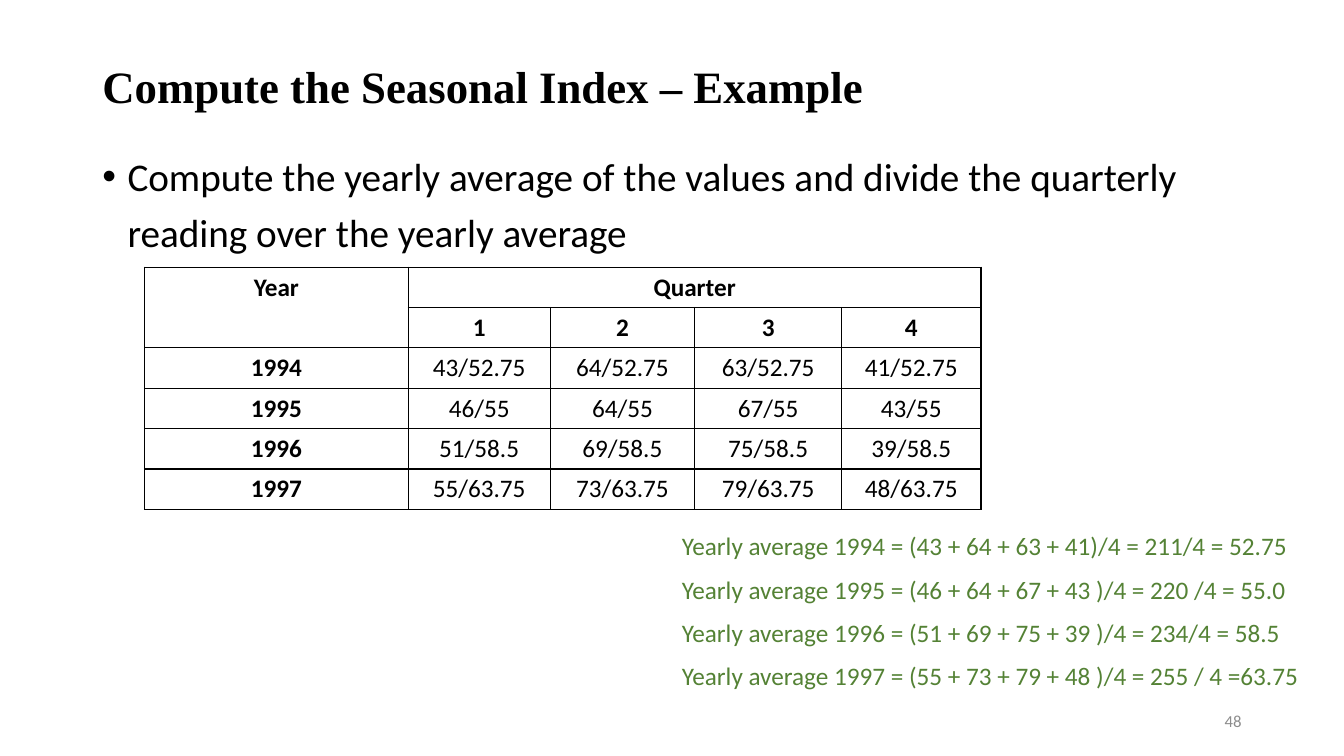
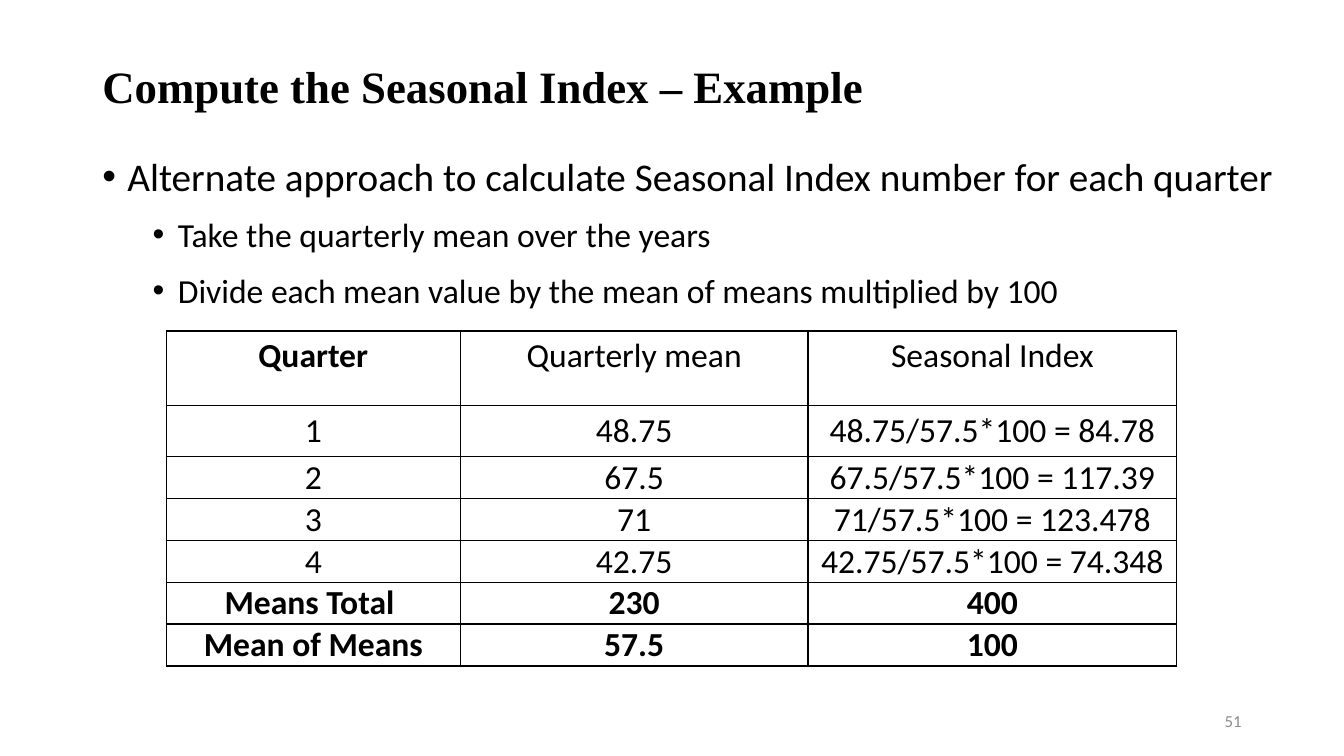
from dataclasses import dataclass
from typing import NamedTuple

from lxml import etree
from pptx import Presentation
from pptx.dml.color import RGBColor
from pptx.enum.text import MSO_ANCHOR, PP_ALIGN
from pptx.oxml.ns import qn
from pptx.slide import Slide
from pptx.table import _Cell
from pptx.text.text import TextFrame, _Paragraph
from pptx.util import Emu, Inches, Pt

LEFT, CENTER, RIGHT = PP_ALIGN.LEFT, PP_ALIGN.CENTER, PP_ALIGN.RIGHT
TOP, MIDDLE, BOTTOM = MSO_ANCHOR.TOP, MSO_ANCHOR.MIDDLE, MSO_ANCHOR.BOTTOM

SLIDE_WIDTH, SLIDE_HEIGHT = Inches(13.333), Inches(7.5)
GRID_COLUMNS, GRID_ROWS = 160, 90
BLANK_LAYOUT = 6


class TextStyle(NamedTuple):
    size: float
    color: str = "000000"
    bold: bool = False
    font: str = "Calibri"


@dataclass(frozen=True)
class Theme:
    background: str = "FFFFFF"
    border: str = "000000"
    border_width: float = 1
    title: TextStyle = TextStyle(32, bold=True, font="Times New Roman")
    bullets: tuple[TextStyle, ...] = (TextStyle(28), TextStyle(24))
    working: TextStyle = TextStyle(18, "548235")
    footer: TextStyle = TextStyle(12, "8C8C8C")


THEME = Theme()


class Box(NamedTuple):
    """A place on the slide grid, in grid columns and rows."""

    column: float
    row: float
    columns: float
    rows: float


TITLE_BOX = Box(11, 4.8, 138, 11.6)
FOOTER_BOX = Box(113, 83.4, 36, 4.8)
WORKING_BOX = Box(80, 62.6, 78.1, 24.2)
BODY_BOX = Box(11, 16.4, 138, 65)
WIDE_BODY_BOX = BODY_BOX._replace(columns=143)

TITLE_TEXT = "Compute the Seasonal Index – Example"


class Bullet(NamedTuple):
    text: str
    level: int = 0


class TableRow(NamedTuple):
    """One row; the first bold_cells cells are bold, tight cells have thin margins."""

    texts: tuple[str, ...]
    height: float
    bold_cells: int = 0
    tight: bool = False


@dataclass(frozen=True)
class TableSpec:
    column: float
    row: float
    widths: tuple[float, ...]
    rows: tuple[TableRow, ...]
    size: float
    merges: tuple[tuple[int, int, int, int], ...] = ()


@dataclass(frozen=True)
class SlideSpec:
    number: int
    body_box: Box
    bullets: tuple[Bullet, ...]
    table: TableSpec
    working: tuple[str, ...] = ()


def across(columns: float) -> Emu:
    return Emu(round(SLIDE_WIDTH * columns / GRID_COLUMNS))


def down(rows: float) -> Emu:
    return Emu(round(SLIDE_HEIGHT * rows / GRID_ROWS))


def add_run(paragraph: _Paragraph, text: str, style: TextStyle) -> None:
    run = paragraph.add_run()
    run.text = text
    run.font.name = style.font
    run.font.size = Pt(style.size)
    run.font.bold = style.bold
    run.font.color.rgb = RGBColor.from_string(style.color)


def add_frame(slide: Slide, box: Box, anchor: MSO_ANCHOR = TOP) -> TextFrame:
    shape = slide.shapes.add_textbox(
        across(box.column), down(box.row), across(box.columns), down(box.rows)
    )
    frame = shape.text_frame
    frame.word_wrap = True
    frame.vertical_anchor = anchor
    return frame


def next_paragraph(frame: TextFrame, index: int, space_before: float) -> _Paragraph:
    """Return the first paragraph as it is, or a new one with space before it."""
    if index == 0:
        return frame.paragraphs[0]
    paragraph = frame.add_paragraph()
    paragraph.space_before = Pt(space_before)
    return paragraph


def set_bullet(paragraph: _Paragraph, level: int) -> None:
    paragraph.level = level
    properties = paragraph._p.get_or_add_pPr()
    properties.set("marL", str(Inches(0.25 + 0.5 * level)))
    properties.set("indent", str(Inches(-0.25)))
    etree.SubElement(properties, qn("a:buFont"), typeface="Arial")
    etree.SubElement(properties, qn("a:buChar"), char="•")


def add_title(slide: Slide) -> None:
    paragraph = add_frame(slide, TITLE_BOX, MIDDLE).paragraphs[0]
    paragraph.line_spacing = 0.9
    add_run(paragraph, TITLE_TEXT, THEME.title)


def add_bullets(slide: Slide, box: Box, bullets: tuple[Bullet, ...]) -> None:
    frame = add_frame(slide, box)
    for index, bullet in enumerate(bullets):
        paragraph = next_paragraph(frame, index, 5 if bullet.level else 10)
        paragraph.line_spacing = 1.2
        set_bullet(paragraph, bullet.level)
        add_run(paragraph, bullet.text, THEME.bullets[bullet.level])


def add_working(slide: Slide, lines: tuple[str, ...]) -> None:
    frame = add_frame(slide, WORKING_BOX)
    for index, line in enumerate(lines):
        add_run(next_paragraph(frame, index, 9.25), line, THEME.working)


def add_footer(slide: Slide, number: int) -> None:
    paragraph = add_frame(slide, FOOTER_BOX, MIDDLE).paragraphs[0]
    paragraph.alignment = RIGHT
    add_run(paragraph, str(number), THEME.footer)


def set_borders(cell: _Cell) -> None:
    properties = cell._tc.get_or_add_tcPr()
    for position, side in enumerate(("a:lnL", "a:lnR", "a:lnT", "a:lnB")):
        line = etree.Element(qn(side), w=str(Pt(THEME.border_width)))
        fill = etree.SubElement(line, qn("a:solidFill"))
        etree.SubElement(fill, qn("a:srgbClr"), val=THEME.border)
        properties.insert(position, line)


def fill_cell(cell: _Cell, text: str, style: TextStyle, tight: bool) -> None:
    cell.fill.background()
    set_borders(cell)
    if tight:
        cell.vertical_anchor = BOTTOM
        cell.margin_left = cell.margin_right = cell.margin_top = Inches(0.01)
        cell.margin_bottom = 0
    paragraph = cell.text_frame.paragraphs[0]
    paragraph.alignment = CENTER
    if text:
        add_run(paragraph, text, style)


def add_table(slide: Slide, spec: TableSpec) -> None:
    table = slide.shapes.add_table(
        len(spec.rows),
        len(spec.widths),
        across(spec.column),
        down(spec.row),
        across(sum(spec.widths)),
        down(sum(row.height for row in spec.rows)),
    ).table
    table.first_row = table.horz_banding = False
    for column, width in zip(table.columns, spec.widths):
        column.width = across(width)
    for row_index, row in enumerate(spec.rows):
        table.rows[row_index].height = down(row.height)
        for column_index, text in enumerate(row.texts):
            style = TextStyle(spec.size, bold=column_index < row.bold_cells)
            fill_cell(table.cell(row_index, column_index), text, style, row.tight)
    for top, left, bottom, right in spec.merges:
        table.cell(top, left).merge(table.cell(bottom, right))


def add_slide(presentation: Presentation, spec: SlideSpec) -> None:
    slide = presentation.slides.add_slide(presentation.slide_layouts[BLANK_LAYOUT])
    slide.background.fill.solid()
    slide.background.fill.fore_color.rgb = RGBColor.from_string(THEME.background)
    add_title(slide)
    add_bullets(slide, spec.body_box, spec.bullets)
    add_table(slide, spec.table)
    if spec.working:
        add_working(slide, spec.working)
    add_footer(slide, spec.number)


YEARLY_TABLE = TableSpec(
    column=17.2,
    row=31.8,
    widths=(31.4, 16.9, 17.2, 17.5, 16.6),
    size=18,
    merges=((0, 0, 1, 0), (0, 1, 0, 4)),
    rows=(
        TableRow(("Year", "Quarter", "", "", ""), 4.8, 5),
        TableRow(("", "1", "2", "3", "4"), 4.8, 5),
        TableRow(("1994", "43/52.75", "64/52.75", "63/52.75", "41/52.75"), 4.8, 1),
        TableRow(("1995", "46/55", "64/55", "67/55", "43/55"), 4.8, 1),
        TableRow(("1996", "51/58.5", "69/58.5", "75/58.5", "39/58.5"), 4.8, 1),
        TableRow(("1997", "55/63.75", "73/63.75", "79/63.75", "48/63.75"), 4.8, 1),
    ),
)

INDEX_TABLE = TableSpec(
    column=19.8,
    row=39.4,
    widths=(35, 41.4, 43.9),
    size=24,
    rows=(
        TableRow(("Quarter", "Quarterly mean", "Seasonal Index"), 8.9, 1),
        TableRow(("1", "48.75", "48.75/57.5*100 = 84.78"), 6),
        TableRow(("2", "67.5", "67.5/57.5*100 = 117.39"), 5, tight=True),
        TableRow(("3", "71", "71/57.5*100 = 123.478"), 5, tight=True),
        TableRow(("4", "42.75", "42.75/57.5*100 = 74.348"), 5, tight=True),
        TableRow(("Means Total ", "230", "400"), 5, 3, tight=True),
        TableRow(("Mean of Means", "57.5", "100"), 5, 3, tight=True),
    ),
)

SLIDES = (
    SlideSpec(
        number=48,
        body_box=BODY_BOX,
        bullets=(
            Bullet(
                "Compute the yearly average of the values and divide the quarterly "
                "reading over the yearly average"
            ),
        ),
        table=YEARLY_TABLE,
        working=(
            "Yearly average 1994 = (43 + 64 + 63 + 41)/4 = 211/4 = 52.75",
            "Yearly average 1995 = (46 + 64 + 67 + 43 )/4 = 220 /4 = 55.0",
            "Yearly average 1996 = (51 + 69 + 75 + 39 )/4 = 234/4 = 58.5",
            "Yearly average 1997 = (55 + 73 + 79 + 48 )/4 = 255 / 4 =63.75",
        ),
    ),
    SlideSpec(
        number=51,
        body_box=WIDE_BODY_BOX,
        bullets=(
            Bullet("Alternate approach to calculate Seasonal Index number for each quarter"),
            Bullet("Take the quarterly mean over the years", 1),
            Bullet("Divide each mean value by the mean of means multiplied by 100", 1),
        ),
        table=INDEX_TABLE,
    ),
)


def main() -> None:
    presentation = Presentation()
    presentation.slide_width = SLIDE_WIDTH
    presentation.slide_height = SLIDE_HEIGHT
    for spec in SLIDES:
        add_slide(presentation, spec)
    presentation.save("out.pptx")


if __name__ == "__main__":
    main()
